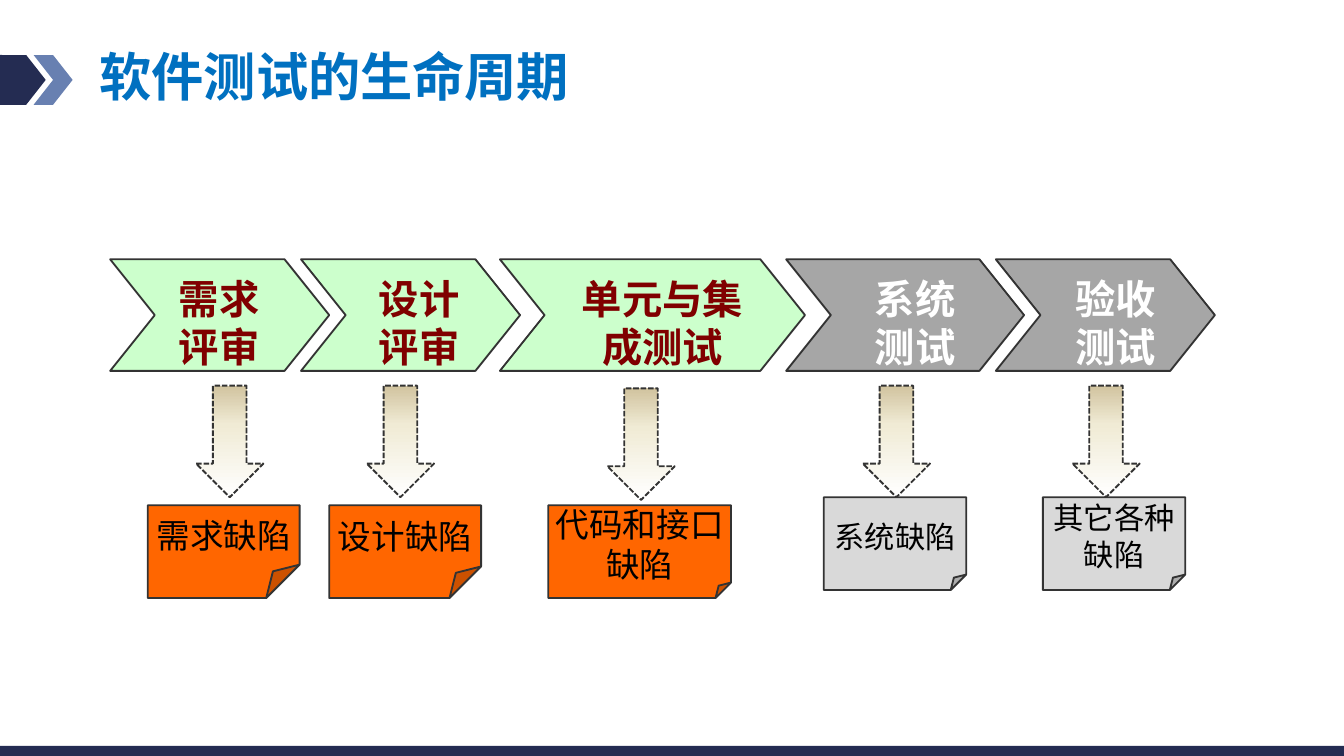
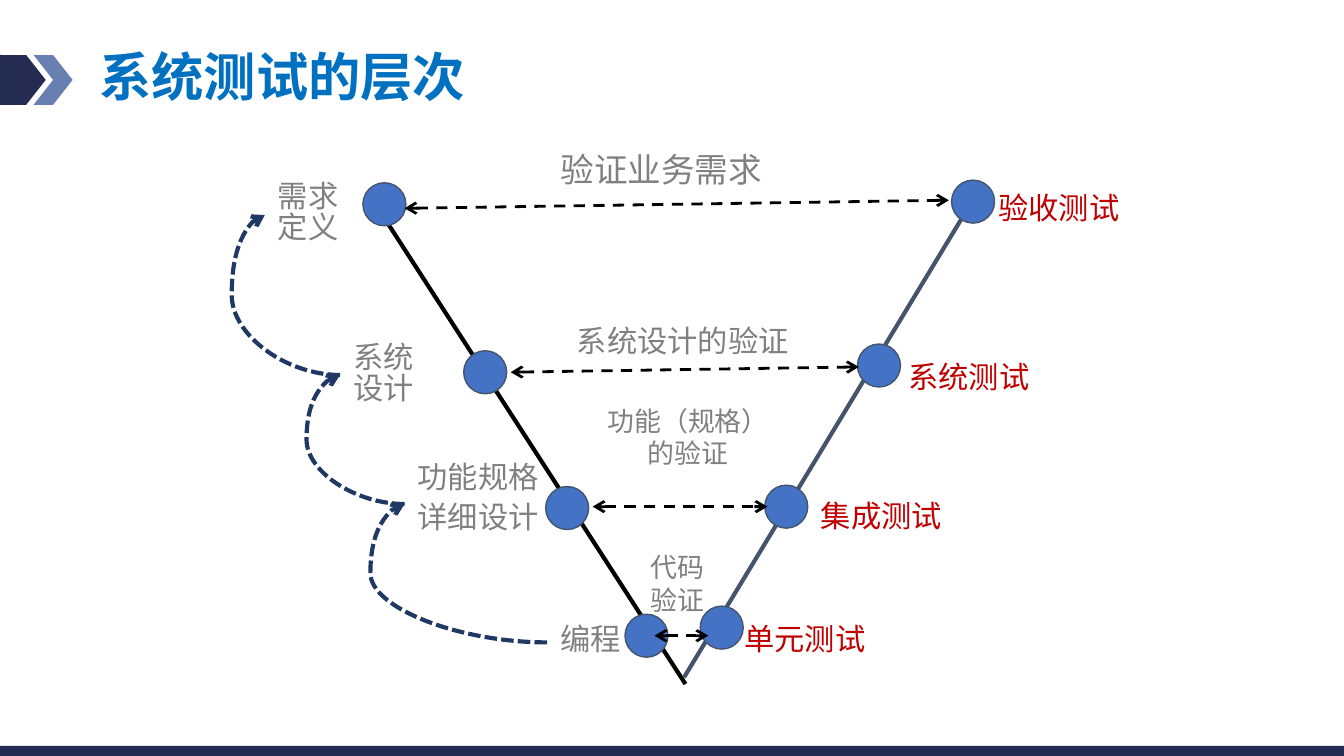
import copy

import pptx
import pptx.dml.color
import pptx.enum.dml
import pptx.enum.shapes
import pptx.enum.text
import pptx.oxml.ns
import pptx.util

SHAPE = pptx.enum.shapes.MSO_SHAPE
CONNECTOR = pptx.enum.shapes.MSO_CONNECTOR
ALIGN = pptx.enum.text.PP_ALIGN
ANCHOR = pptx.enum.text.MSO_ANCHOR
DASH = pptx.enum.dml.MSO_LINE
qn = pptx.oxml.ns.qn

# The slide is a grid of 100 columns by 56.25 rows of square cells.
COLUMNS, ROWS = 100, 56.25
CELL = pptx.util.Inches(0.1)

HEADING_FONT = "Noto Sans CJK SC"
NOTE_FONT = "Calibri"
COLORS = {
    "navy": "242C52", "steel": "6880B1", "title": "0070C0",
    "outline": "333333", "black": "000000", "white": "FFFFFF",
    "green": "CCFFCC", "maroon": "800000", "gray": "A6A6A6",
    "orange": "FF6600", "silver": "D9D9D9",
    "cream": "F0EBD5", "sand": "D1C39F",
    "label": "808080", "test": "C00000", "node": "4472C4",
    "slate": "44546A", "feedback": "203864",
}


def cells(*counts):
    """Turn grid cells into lengths."""
    return [int(count * CELL) for count in counts]


def rgb(color):
    return pptx.dml.color.RGBColor.from_string(COLORS[color])


def set_guide(shape, name, share):
    """Set the one adjustment value of a preset outline."""
    geometry = shape.element.spPr.find(qn("a:prstGeom"))
    for guides in geometry.findall(qn("a:avLst")):
        geometry.remove(guides)
    guides = geometry.makeelement(qn("a:avLst"), {})
    geometry.append(guides)
    guides.append(guides.makeelement(
        qn("a:gd"), {"name": name, "fmla": f"val {round(share * 100000)}"}))


def draw_shape(page, kind, area, fill, line=None, width=1, adjust=None):
    shape = page.shapes.add_shape(kind, *cells(*area))
    shape.shadow.inherit = False
    shape.fill.solid()
    shape.fill.fore_color.rgb = rgb(fill)
    if line:
        shape.line.color.rgb = rgb(line)
        shape.line.width = pptx.util.Pt(width)
    else:
        shape.line.fill.background()
    if adjust is not None:
        set_guide(shape, "adj", adjust)
    return shape


def write(frame, text, size, color, font=HEADING_FONT, bold=False,
          align=ALIGN.LEFT, spacing=None):
    """Set the text, one paragraph a line, and format every run."""
    frame.text = text
    for number, para in enumerate(frame.paragraphs):
        para.alignment = align
        if spacing:
            para.line_spacing = spacing
        if number and spacing:
            para.space_before = pptx.util.Pt(5)
        for span in para.runs:
            span.font.size = pptx.util.Pt(size)
            span.font.bold = bold
            span.font.color.rgb = rgb(color)
            span.font.name = font
            latin = span._r.rPr.find(qn("a:latin"))
            latin.addnext(latin.makeelement(qn("a:ea"), {"typeface": font}))


def add_label(page, area, text, size, color, inset=True, **style):
    box = page.shapes.add_textbox(*cells(*area))
    frame = box.text_frame
    frame.word_wrap = True
    frame.auto_size = pptx.enum.text.MSO_AUTO_SIZE.SHAPE_TO_FIT_TEXT
    if not inset:
        frame.margin_left = frame.margin_right = 0
        frame.margin_top = frame.margin_bottom = 0
    write(frame, text, size, color, **style)


def draw_line(page, start, end, color, width, dash=None, heads=(), kind=CONNECTOR.STRAIGHT):
    line = page.shapes.add_connector(kind, *cells(*start, *end))
    line.line.color.rgb = rgb(color)
    line.line.width = pptx.util.Pt(width)
    if dash:
        line.line.dash_style = dash
    properties = line.element.spPr
    outline = properties.find(qn("a:ln"))
    for head in heads:
        outline.append(outline.makeelement(qn(head), {"type": "arrow"}))
    properties.append(properties.makeelement(qn("a:effectLst"), {}))
    return line


def draw_feedback(page, start, end, bulge):
    """Curve leftwards and up from start to end; bulge is a share of the width."""
    (right, bottom), (left, top) = start, end
    curve = draw_line(page, (left, top), (right, bottom), "feedback", 2.25,
                      DASH.SQUARE_DOT, ["a:tailEnd"], CONNECTOR.CURVE)
    curve.element.spPr.find(qn("a:xfrm")).set("rot", "10800000")
    set_guide(curve, "adj1", bulge)


def draw_down_arrow(page, left, top):
    arrow = draw_shape(page, SHAPE.DOWN_ARROW, (left, top, 5, 8.3), "sand", "outline")
    arrow.line.dash_style = DASH.SQUARE_DOT
    arrow.fill.gradient()
    arrow.fill.gradient_angle = 90
    first_stop = arrow.element.spPr.find(qn("a:gradFill")).find(qn("a:gsLst"))[0]
    first_stop.addnext(copy.deepcopy(first_stop))
    shades = [(0, "white"), (0.65, "cream"), (1, "sand")]
    for stop, (position, color) in zip(arrow.fill.gradient_stops, shades):
        stop.position = position
        stop.color.rgb = rgb(color)


def draw_note(page, area, text, size, fill, fold):
    note = draw_shape(page, SHAPE.FOLDED_CORNER, area, fill, "outline", adjust=fold)
    frame = note.text_frame
    frame.word_wrap = False
    frame.vertical_anchor = ANCHOR.MIDDLE
    write(frame, text, size, "black", NOTE_FONT, align=ALIGN.CENTER)


def add_page(deck, heading):
    page = deck.slides.add_slide(deck.slide_layouts[5])
    draw_shape(page, SHAPE.ROUNDED_RECTANGLE, (-1.5, 4.1, 3.5, 3.7), "navy", adjust=0.1)
    for left, color in [(2.5, "steel"), (0.5, "navy")]:
        draw_shape(page, SHAPE.CHEVRON, (left, 4.1, 2.9, 3.7), color)
    draw_shape(page, SHAPE.RECTANGLE, (0, 55.5, COLUMNS, 1.3), "navy")
    title = page.shapes.title
    title.left, title.top, title.width, title.height = cells(6.4, 3.1, 80.5, 5.7)
    title.text_frame.vertical_anchor = ANCHOR.MIDDLE
    write(title.text_frame, heading, 28, "title", bold=True, spacing=0.9)
    return page


def build_life_cycle(deck):
    page = add_page(deck, "软件测试的生命周期")
    early = {"fill": "green", "text": "maroon", "note": "orange", "size": 18, "top": 37.6}
    late = {"fill": "gray", "text": "white", "note": "silver", "size": 16.2, "top": 37}
    # Phase, look, chevron and label (left, width), arrow (left, top),
    # defect note (left, width), its text and fold
    phases = [
        ("需求评审", early, (8.2, 16.3), (13.1, 6.4), (14.6, 28.7), (11, 11.3), "需求缺陷", 0.36),
        ("设计评审", early, (22.4, 16.3), (28, 6.4), (27.3, 28.7), (24.5, 11.3), "设计缺陷", 0.34),
        ("单元与集成测试", early, (37.2, 22.7), (42.9, 12.8), (45.2, 28.9), (40.8, 13.6),
         "代码和接口\n缺陷", None),
        ("系统测试", late, (58.5, 17.7), (64.9, 6.4), (64.2, 28.7), (61.3, 10.6), "系统缺陷", None),
        ("验收测试", late, (74.1, 16.3), (79.8, 6.4), (79.8, 28.7), (77.6, 10.6),
         "其它各种\n缺陷", None),
    ]
    for phase, look, chevron, label, arrow, note, defect, fold in phases:
        draw_shape(page, SHAPE.CHEVRON, (chevron[0], 19.3, chevron[1], 8.3),
                   look["fill"], "outline", adjust=0.4)
        add_label(page, (label[0], 20.4, label[1], 7.3), phase, 21.6, look["text"],
                  inset=False, bold=True, align=ALIGN.CENTER)
        draw_down_arrow(page, *arrow)
        draw_note(page, (note[0], look["top"], note[1], 6.9), defect,
                  look["size"], look["note"], fold)


def build_test_levels(deck):
    page = add_page(deck, "系统测试的层次")
    checks = [
        ((41.8, 23.5, 18, 3.7), "系统设计的验证", 16.2),
        ((33.4, 10.6, 31.6, 4), "验证业务需求", 18),
        ((44.2, 29.6, 14, 5.9), "功能（规格）的验证", 14.4),
        ((47.3, 40.5, 6.2, 5.9), "代码验证", 14.4),
    ]
    for area, text, size in checks:
        add_label(page, area, text, size, "label", align=ALIGN.CENTER)

    steps = [
        ((19.7, 13.1, 7.4, 5.6), "需求定义", "label"),
        ((25.3, 25.1, 7.7, 5.6), "系统设计", "label"),
        ((30.1, 34, 12.5, 7), "功能规格\n详细设计", "label"),
        ((40.7, 46.1, 7.1, 3.3), "编程", "label"),
        ((54.4, 46.1, 12.5, 3.3), "单元测试", "test"),
        ((60.1, 36.9, 11.8, 3.3), "集成测试", "test"),
        ((66.6, 26.6, 12.1, 3.3), "系统测试", "test"),
        ((73.3, 14, 11.8, 3.3), "验收测试", "test"),
    ]
    for area, text, color in steps:
        add_label(page, area, text, 16.2, color, spacing=0.85)

    draw_line(page, (28, 15.3), (51, 50.9), "black", 2.25)
    draw_line(page, (50.9, 50.4), (72.2, 15.2), "slate", 2.25)

    nodes = [(27, 13.6), (34.5, 26.1), (40.6, 36.2), (46.5, 45.7),
             (52.1, 45.1), (56.9, 36.1), (63.8, 25.6), (70.8, 13.4)]
    for left, top in nodes:
        draw_shape(page, SHAPE.OVAL, (left, top, 3.2, 3.2), "node", "slate", 0.75)

    links = [((30.1, 15.5), (70.6, 14.9)), ((38, 27.7), (63.9, 27.3)),
             ((44.1, 37.7), (57.1, 37.7)), ((48.7, 47.3), (52.7, 47.3))]
    for start, end in links:
        draw_line(page, start, end, "black", 1.5, DASH.DASH, ["a:headEnd", "a:tailEnd"])

    stops = [(40.7, 47.8), (30.1, 37.5), (25.3, 27.9), (19.7, 16)]
    for start, end, bulge in zip(stops, stops[1:], [1.24, 1.52, 1.44]):
        draw_feedback(page, start, end, bulge)


def main():
    deck = pptx.Presentation()
    deck.slide_width, deck.slide_height = cells(COLUMNS, ROWS)
    build_life_cycle(deck)
    build_test_levels(deck)
    deck.save("out.pptx")


if __name__ == "__main__":
    main()
